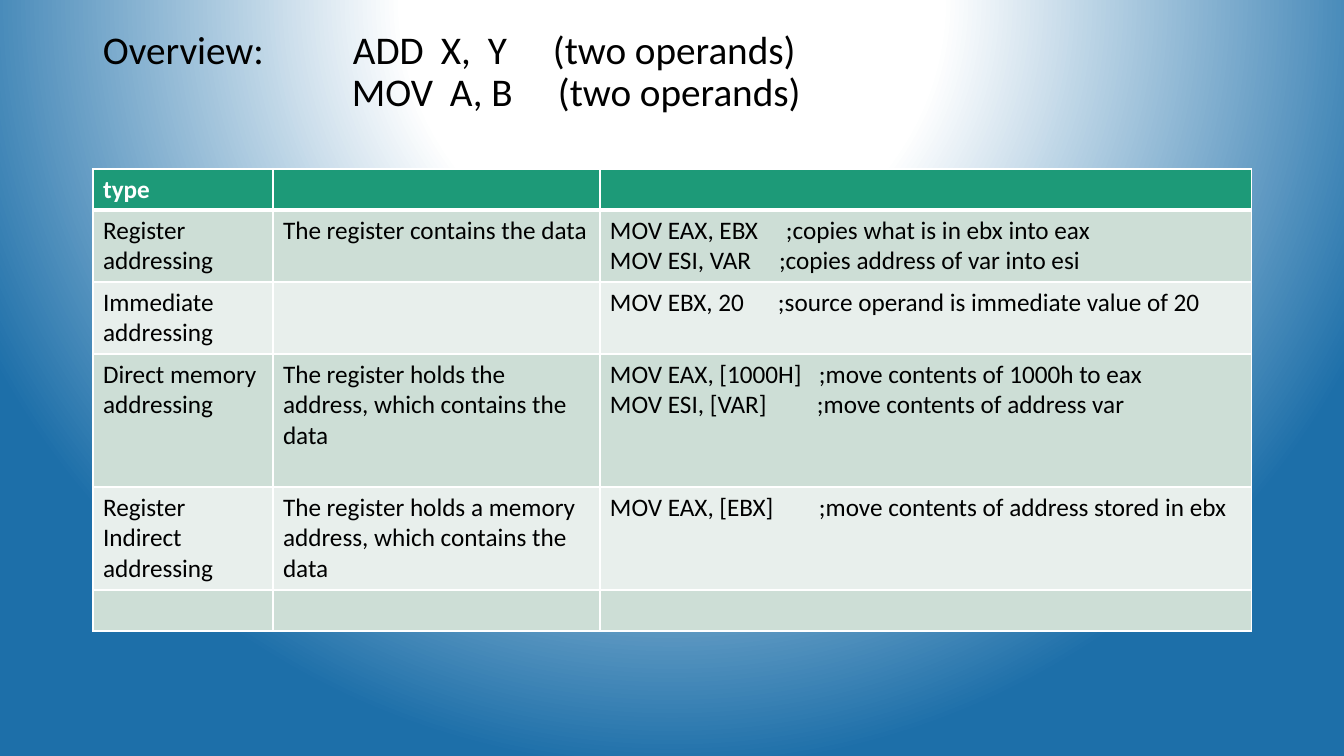
import dataclasses

import pptx
import pptx.dml.color
import pptx.enum.text
import pptx.oxml
import pptx.oxml.ns
import pptx.util

SCALE = 914400 / 100.8  # EMU per px


@dataclasses.dataclass(frozen=True)
class Theme:
    font: str = "Calibri"
    head: int = 28
    body: int = 18
    ink: str = "000000"
    light: str = "FFFFFF"
    green: str = "1D9A78"
    bands: tuple[str, str] = ("CDDED6", "E8EFEC")
    blue: str = "1D6FA9"
    thin: int = 1
    thick: int = 3


@dataclasses.dataclass(frozen=True)
class Line:
    text: str
    stops: tuple[int, ...] = ()  # tab stops in px


@dataclasses.dataclass(frozen=True)
class Row:
    height: int
    cells: tuple[tuple[Line, ...], ...] = ((), (), ())


THEME = Theme()
TITLE = (
    Line("Overview:\tADD\tX,\tY\t(two operands)", (250, 338, 385, 450)),
    Line("\tMOV\tA, B\t(two operands)", (249, 347, 455)),
)
WIDTHS = (180, 327, 652)
ROWS = (
    Row(41, ((Line("type"),), (), ())),
    Row(72, (
        (Line("Register addressing"),),
        (Line("The register contains the data"),),
        (Line("MOV EAX, EBX\t;copies what is in ebx into eax", (176,)),
         Line("MOV ESI, VAR\t;copies address of var into esi", (169,))),
    )),
    Row(72, (
        (Line("Immediate addressing"),),
        (),
        (Line("MOV EBX, 20\t;source operand is immediate value of 20", (168,)),),
    )),
    Row(133, (
        (Line("Direct memory addressing"),),
        (Line("The register holds the address, which contains the data"),),
        (Line("MOV EAX, [1000H]\t;move contents of 1000h to eax", (209,)),
         Line("MOV ESI, [VAR]\t;move contents of address var", (207,))),
    )),
    Row(103, (
        (Line("Register Indirect"), Line("addressing")),
        (Line("The register holds a memory address, which contains the data"),),
        (Line("MOV EAX, [EBX]\t;move contents of address stored in ebx", (209,)),),
    )),
    Row(41),
)


def px(size: int) -> pptx.util.Emu:
    return pptx.util.Emu(round(size * SCALE))


def color(code: str) -> pptx.dml.color.RGBColor:
    return pptx.dml.color.RGBColor.from_string(code)


def parse(markup: str):
    return pptx.oxml.parse_xml(markup)


def write(frame, lines: tuple[Line, ...], size: int, ink: str, bold: bool = False) -> None:
    frame.text = "\n".join(line.text for line in lines)
    for para, line in zip(frame.paragraphs, lines):
        if line.stops:
            tabs = "".join(f'<a:tab pos="{px(stop)}" algn="l"/>' for stop in line.stops)
            para._p.get_or_add_pPr().append(
                parse(f'<a:tabLst {pptx.oxml.ns.nsdecls("a")}>{tabs}</a:tabLst>'))
        for run in para.runs:
            run.font.name = THEME.font
            run.font.size = pptx.util.Pt(size)
            run.font.bold = bold
            run.font.color.rgb = color(ink)


def border(cell, top: int, base: int) -> None:
    props = cell._tc.get_or_add_tcPr()
    sides = {"lnL": THEME.thin, "lnR": THEME.thin, "lnT": top, "lnB": base}
    for spot, (side, width) in enumerate(sides.items()):
        props.insert(spot, parse(
            f'<a:{side} {pptx.oxml.ns.nsdecls("a")} w="{pptx.util.Pt(width)}">'
            f'<a:solidFill><a:srgbClr val="{THEME.light}"/></a:solidFill></a:{side}>'))


def backdrop(slide) -> None:
    stops = ((0, THEME.light), (35, THEME.light), (100, THEME.blue))
    marks = "".join(f'<a:gs pos="{spot * 1000}"><a:srgbClr val="{code}"/></a:gs>'
                    for spot, code in stops)
    slide._element.cSld.insert(0, parse(
        f'<p:bg {pptx.oxml.ns.nsdecls("p", "a")}><p:bgPr><a:gradFill rotWithShape="1">'
        f'<a:gsLst>{marks}</a:gsLst><a:path path="circle">'
        '<a:fillToRect l="50000" t="-80000" r="50000" b="180000"/></a:path>'
        '</a:gradFill><a:effectLst/></p:bgPr></p:bg>'))


def title(slide) -> None:
    frame = slide.shapes.add_textbox(px(93), px(0), px(1159), px(146)).text_frame
    frame.word_wrap = True
    frame.vertical_anchor = pptx.enum.text.MSO_ANCHOR.MIDDLE
    write(frame, TITLE, THEME.head, THEME.ink)
    for para in frame.paragraphs:
        para.line_spacing = 0.9


def grid(slide) -> None:
    height = sum(row.height for row in ROWS)
    table = slide.shapes.add_table(len(ROWS), len(WIDTHS), px(93), px(169),
                                   px(sum(WIDTHS)), px(height)).table
    for column, width in zip(table.columns, WIDTHS):
        column.width = px(width)
    for level, row in enumerate(ROWS):
        table.rows[level].height = px(row.height)
        first = level == 0
        for place, lines in enumerate(row.cells):
            cell = table.cell(level, place)
            cell.fill.solid()
            cell.fill.fore_color.rgb = color(
                THEME.green if first else THEME.bands[(level - 1) % 2])
            border(cell, THEME.thick if level == 1 else THEME.thin,
                   THEME.thick if first else THEME.thin)
            write(cell.text_frame, lines, THEME.body,
                  THEME.light if first else THEME.ink, first)


def main() -> None:
    deck = pptx.Presentation()
    deck.slide_width, deck.slide_height = px(1344), px(756)
    slide = deck.slides.add_slide(deck.slide_layouts[6])
    backdrop(slide)
    title(slide)
    grid(slide)
    deck.save("out.pptx")


if __name__ == "__main__":
    main()
